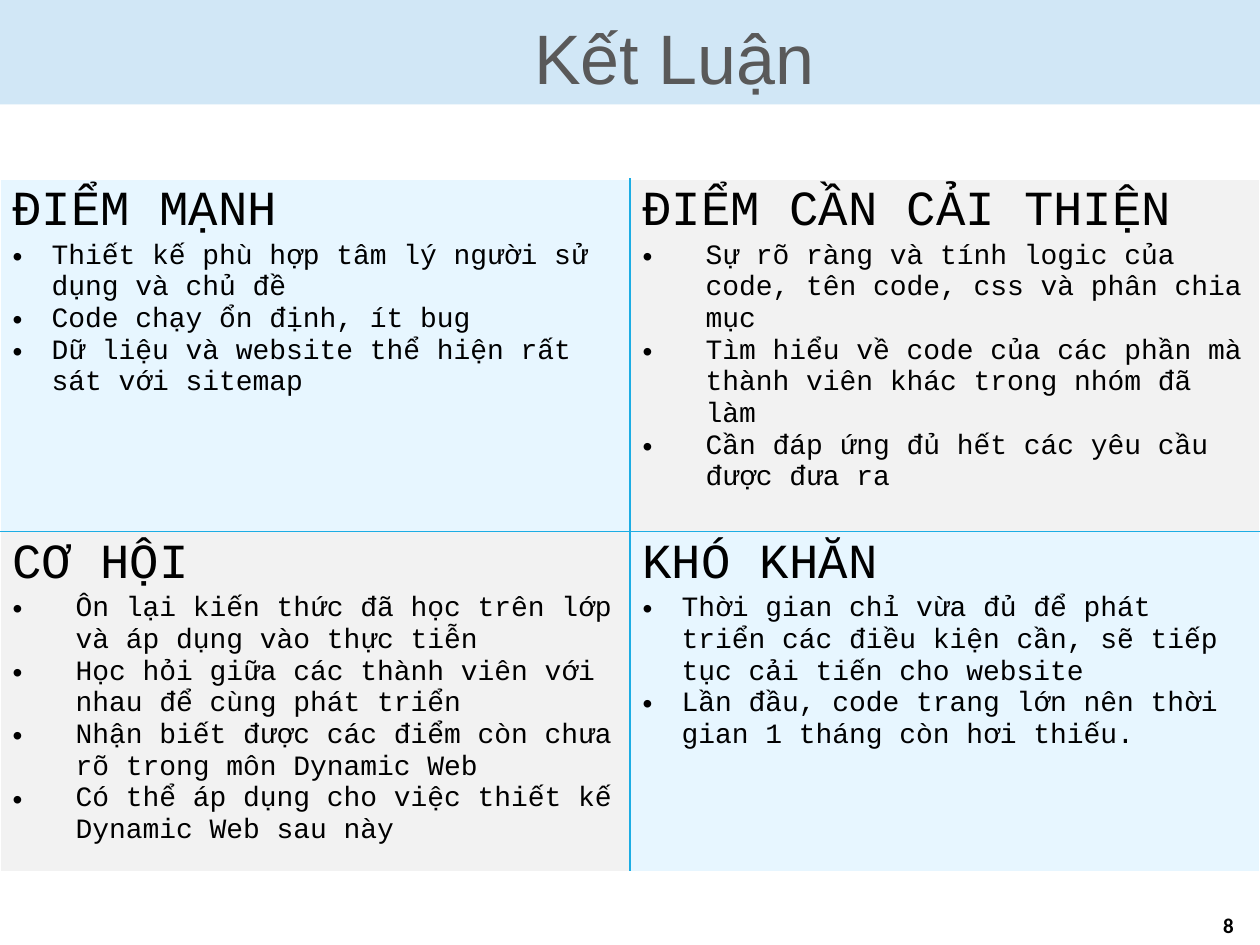
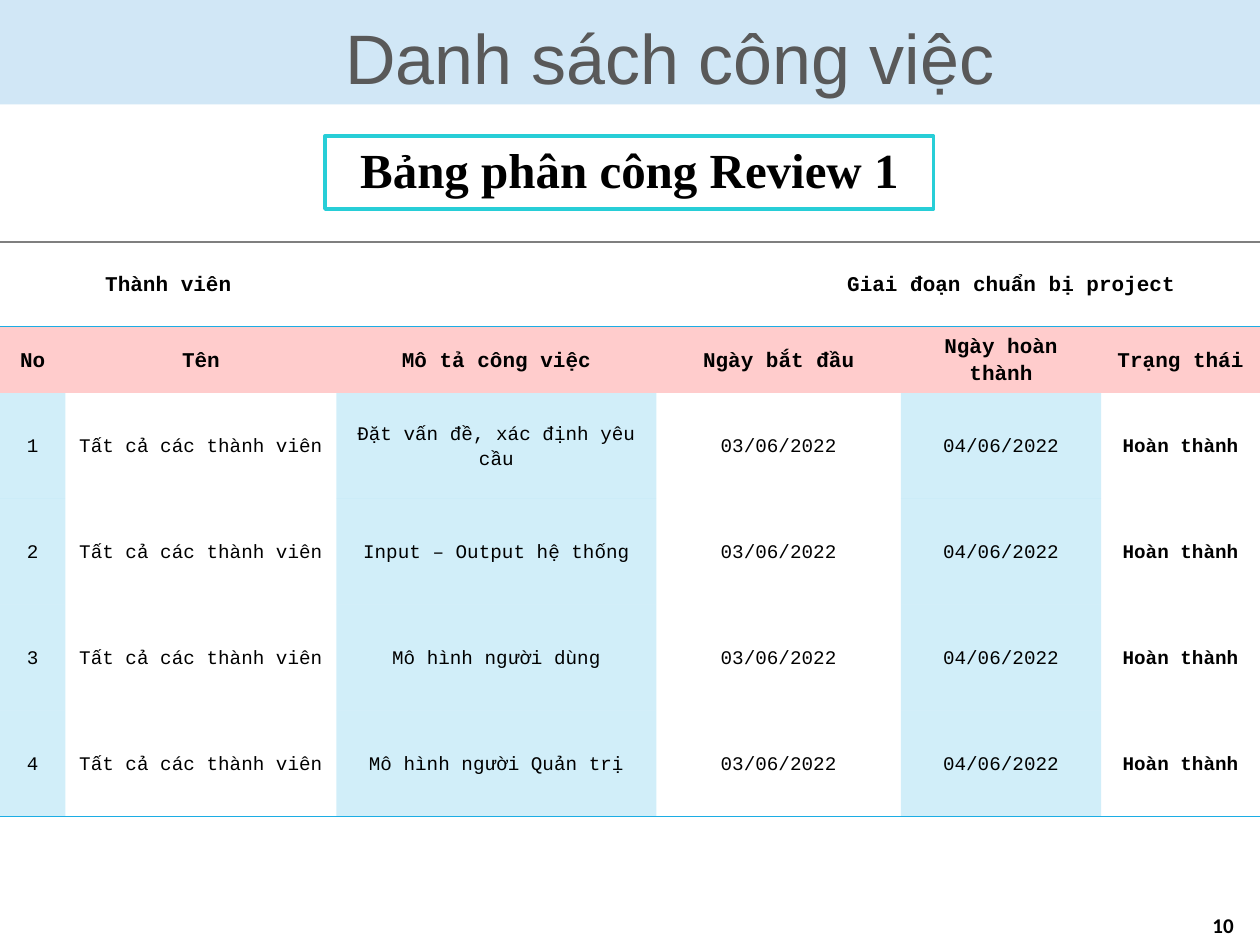
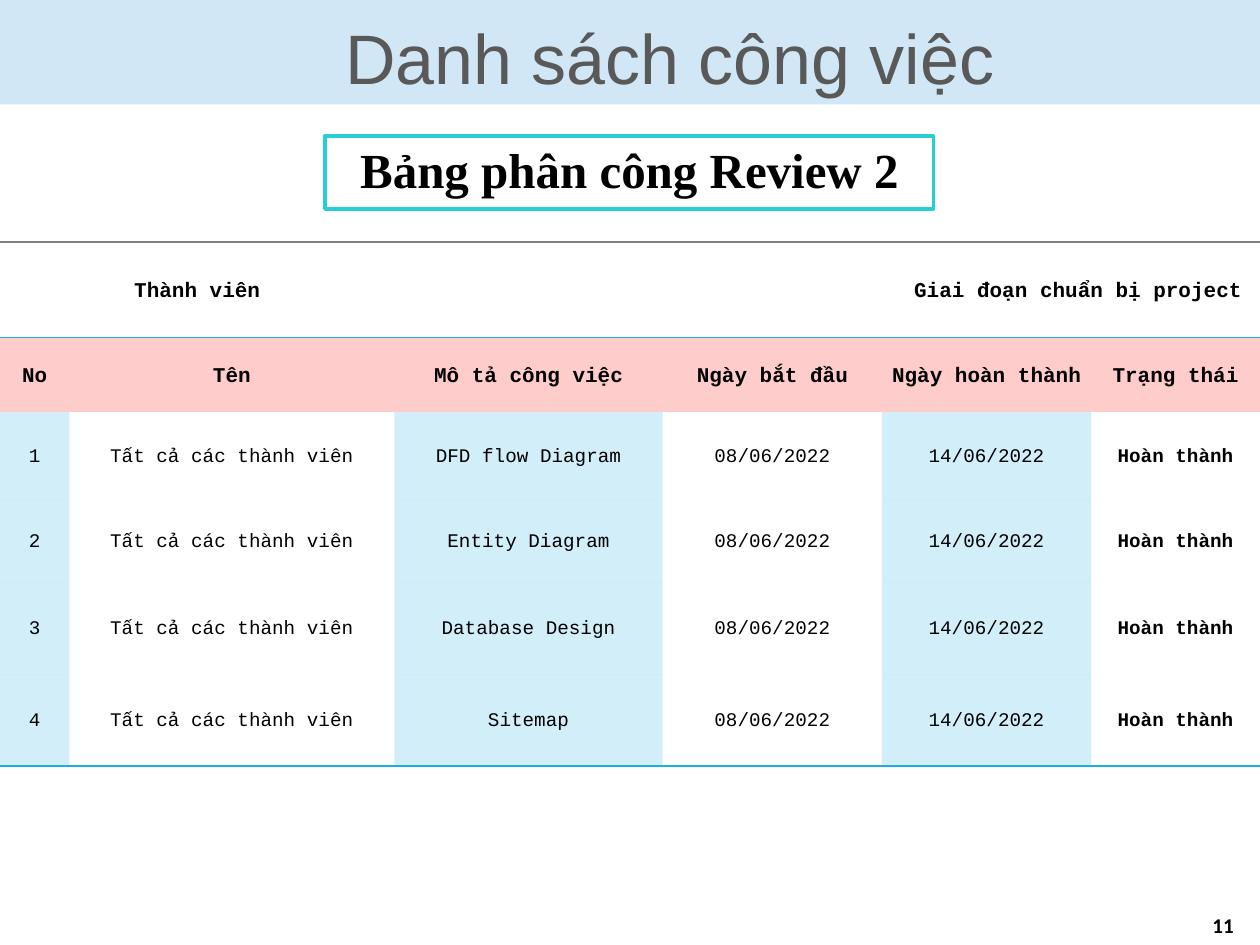
from dataclasses import dataclass

from lxml import etree
from pptx import Presentation
from pptx import util as u
from pptx.dml.color import RGBColor
from pptx.enum import shapes, text
from pptx.oxml import ns


@dataclass(frozen=True)
class Theme:
    black: str = "000000"
    white: str = "FFFFFF"
    band: str = "D1E7F6"
    title: str = "595959"
    accent: str = "1CADE4"
    frame: str = "27CED7"
    rule: str = "7F7F7F"
    pale_blue: str = "E7F6FF"
    pale_gray: str = "F2F2F2"
    header: str = "FFCCCC"
    title_font: str = "Arial"
    table_font: str = "Courier New"
    caption_font: str = "Times New Roman"
    number_font: str = "Calibri"
    title_size: int = 40
    heading_size: int = 28
    bullet_size: int = 16
    header_size: int = 12
    body_size: int = 11


THEME = Theme()
NO_STYLE = "{2D5ABB26-0587-4C30-8999-92F81FD0307C}"
CENTER = text.PP_ALIGN.CENTER

SWOT = [
    [("ĐIỂM MẠNH", 0.31, [
        "Thiết kế phù hợp tâm lý người sử dụng và chủ đề",
        "Code chạy ổn định, ít bug",
        "Dữ liệu và website thể hiện rất sát với sitemap"]),
     ("ĐIỂM CẦN CẢI THIỆN", 0.5, [
         "Sự rõ ràng và tính logic của code, tên code, css và phân chia mục",
         "Tìm hiểu về code của các phần mà thành viên khác trong nhóm đã làm",
         "Cần đáp ứng đủ hết các yêu cầu được đưa ra"])],
    [("CƠ HỘI", 0.5, [
        "Ôn lại kiến thức đã học trên lớp và áp dụng vào thực tiễn",
        "Học hỏi giữa các thành viên với nhau để cùng phát triển",
        "Nhận biết được các điểm còn chưa rõ trong môn Dynamic Web",
        "Có thể áp dụng cho việc thiết kế Dynamic Web sau này"]),
     ("KHÓ KHĂN", 0.31, [
         "Thời gian chỉ vừa đủ để phát triển các điều kiện cần, sẽ tiếp tục cải tiến cho website",
         "Lần đầu, code trang lớn nên thời gian 1 tháng còn hơi thiếu."])],
]

HEADERS = ["No", "Tên", "Mô tả công việc", "Ngày bắt đầu", "Ngày hoàn thành", "Trạng thái"]

REVIEWS = [
    dict(page=10, caption="Bảng phân công Review 1",
         tasks=["Đặt vấn đề, xác định yêu cầu", "Input – Output hệ thống",
                "Mô hình người dùng", "Mô hình người Quản trị"],
         start="03/06/2022", end="04/06/2022", phase_indent=3.38,
         widths=[0.52, 2.15, 2.54, 1.94, 1.59, 1.26],
         heights=[0.67, 0.53] + [0.84] * 4),
    dict(page=11, caption="Bảng phân công Review 2",
         tasks=["DFD flow Diagram", "Entity Diagram", "Database Design", "Sitemap"],
         start="08/06/2022", end="14/06/2022", phase_indent=3.98,
         widths=[0.55, 2.58, 2.13, 1.74, 1.66, 1.34],
         heights=[0.76, 0.59, 0.7, 0.65, 0.73, 0.73]),
]


def color(value):
    return RGBColor.from_string(value)


def inches(*lengths):
    return [u.Inches(length) for length in lengths]


def write(paragraph, content, *, font, size, ink=THEME.black, bold=False,
          align=None, spacing=1.0, bullet_indent=None):
    run = paragraph.add_run()
    run.text = content
    run.font.name = font
    run.font.size = u.Pt(size)
    run.font.bold = bold
    run.font.color.rgb = color(ink)
    paragraph.alignment = align
    paragraph.line_spacing = spacing
    paragraph.space_before = u.Pt(0)
    if bullet_indent:
        properties = paragraph._p.get_or_add_pPr()
        indent = u.Inches(bullet_indent)
        properties.set("marL", str(indent))
        properties.set("indent", str(-indent))
        etree.SubElement(properties, ns.qn("a:buFont"), typeface="Arial")
        etree.SubElement(properties, ns.qn("a:buChar"), char="•")


def add_rectangle(slide, box, fill, line=None):
    shape = slide.shapes.add_shape(shapes.MSO_SHAPE.RECTANGLE, *inches(*box))
    shape.shadow.inherit = False
    shape.fill.solid()
    shape.fill.fore_color.rgb = color(fill)
    if line:
        shape.line.color.rgb = color(line)
        shape.line.width = u.Pt(2)
    else:
        shape.line.fill.background()
    return shape


def add_text(slide, box, content, left_inset=0.1, **style):
    frame = slide.shapes.add_textbox(*inches(*box)).text_frame
    frame.word_wrap = True
    frame.margin_left = u.Inches(left_inset)
    frame.vertical_anchor = text.MSO_ANCHOR.MIDDLE
    write(frame.paragraphs[0], content, **style)


def add_base_slide(presentation, title, page, title_left=1.38, title_inset=0.1):
    """Add a slide with the band, title and page number that all slides share."""
    slide = presentation.slides.add_slide(presentation.slide_layouts[6])
    add_rectangle(slide, (0, 0, 10, 0.83), THEME.band)
    add_text(slide, (0.12, 7.25, 9.77, 0.18), str(page), font=THEME.number_font,
             size=THEME.header_size, bold=True, align=text.PP_ALIGN.RIGHT)
    add_text(slide, (title_left, 0.22, 7.87, 0.45), title, left_inset=title_inset,
             font=THEME.title_font, size=THEME.title_size, ink=THEME.title, align=CENTER)
    return slide


def add_plain_table(slide, top, widths, heights):
    """Add a table without any style, sized by its columns and rows."""
    table = slide.shapes.add_table(
        len(heights), len(widths), *inches(0, top, sum(widths), sum(heights))).table
    table.first_row = table.horz_banding = False
    table._tbl.tblPr.find(ns.qn("a:tableStyleId")).text = NO_STYLE
    for column, width in zip(table.columns, widths):
        column.width = u.Inches(width)
    for row, height in zip(table.rows, heights):
        row.height = u.Inches(height)
    return table


def fill_cell(cell, fill, alpha=None):
    cell.fill.solid()
    cell.fill.fore_color.rgb = color(fill)
    if alpha:
        tint = cell._tc.tcPr.find(".//" + ns.qn("a:srgbClr"))
        etree.SubElement(tint, ns.qn("a:alpha"), val=str(alpha * 1000))


def set_borders(cell, **sides):
    """Draw 1 pt borders; sides are given as L, R, T, B with their colours."""
    properties = cell._tc.get_or_add_tcPr()
    drawn = [side for side in "LRTB" if side in sides]
    for position, side in enumerate(drawn):
        line = etree.Element(ns.qn("a:ln" + side), w=str(u.Pt(1)))
        solid = etree.SubElement(line, ns.qn("a:solidFill"))
        etree.SubElement(solid, ns.qn("a:srgbClr"), val=sides[side])
        properties.insert(position, line)


def add_swot_table(slide):
    table = add_plain_table(slide, 1.42, [5, 5], [2.8, 2.55])
    for r, row in enumerate(SWOT):
        for c, (heading, indent, points) in enumerate(row):
            cell = table.cell(r, c)
            fill_cell(cell, THEME.pale_blue if r == c else THEME.pale_gray)
            set_borders(cell,
                        L=THEME.accent if c else THEME.white,
                        R=THEME.white if c else THEME.accent,
                        T=THEME.accent if r else THEME.white,
                        B=THEME.white if r else THEME.accent)
            frame = cell.text_frame
            write(frame.paragraphs[0], heading, font=THEME.table_font, size=THEME.heading_size)
            for point in points:
                write(frame.add_paragraph(), point, font=THEME.table_font,
                      size=THEME.bullet_size, bullet_indent=indent)


def write_task_cell(cell, content, size=THEME.header_size, bold=True, indent=0):
    cell.vertical_anchor = text.MSO_ANCHOR.MIDDLE
    cell.margin_left, cell.margin_right = inches(0.07 + indent, 0.07)
    cell.margin_top = cell.margin_bottom = 0
    write(cell.text_frame.paragraphs[0], content, font=THEME.table_font, size=size,
          bold=bold, align=CENTER, spacing=1.15)


def add_task_table(slide, review):
    table = add_plain_table(slide, 1.92, review["widths"], review["heights"])
    last_row = len(table.rows) - 1
    for c, header in enumerate(HEADERS):
        set_borders(table.cell(0, c), T=THEME.rule, B=THEME.accent)
        write_task_cell(table.cell(1, c), header)
        fill_cell(table.cell(1, c), THEME.header)
    table.cell(0, 0).merge(table.cell(0, 1))
    table.cell(0, 2).merge(table.cell(0, 5))
    write_task_cell(table.cell(0, 0), "Thành viên")
    write_task_cell(table.cell(0, 2), "Giai đoạn chuẩn bị project",
                    indent=review["phase_indent"])

    for number, task in enumerate(review["tasks"], start=1):
        values = [str(number), "Tất cả các thành viên", task,
                  review["start"], review["end"], "Hoàn thành"]
        r = number + 1
        for c, value in enumerate(values):
            cell = table.cell(r, c)
            write_task_cell(cell, value, size=THEME.body_size, bold=c == len(values) - 1)
            if c % 2 == 0:
                fill_cell(cell, THEME.accent, alpha=20)
            if r == last_row:
                set_borders(cell, B=THEME.accent)


def add_caption(slide, caption):
    shape = add_rectangle(slide, (2.58, 1.08, 4.83, 0.58), THEME.white, THEME.frame)
    frame = shape.text_frame
    frame.word_wrap = True
    frame.vertical_anchor = text.MSO_ANCHOR.MIDDLE
    write(frame.paragraphs[0], caption, font=THEME.caption_font, size=THEME.heading_size,
          bold=True, align=CENTER, spacing=0.9)


def main():
    presentation = Presentation()
    presentation.slide_width, presentation.slide_height = inches(10, 7.5)
    conclusion = add_base_slide(presentation, "Kết Luận", 8, title_left=1, title_inset=0.93)
    add_swot_table(conclusion)
    for review in REVIEWS:
        slide = add_base_slide(presentation, "Danh sách công việc", review["page"])
        add_caption(slide, review["caption"])
        add_task_table(slide, review)
    presentation.save("out.pptx")


if __name__ == "__main__":
    main()
